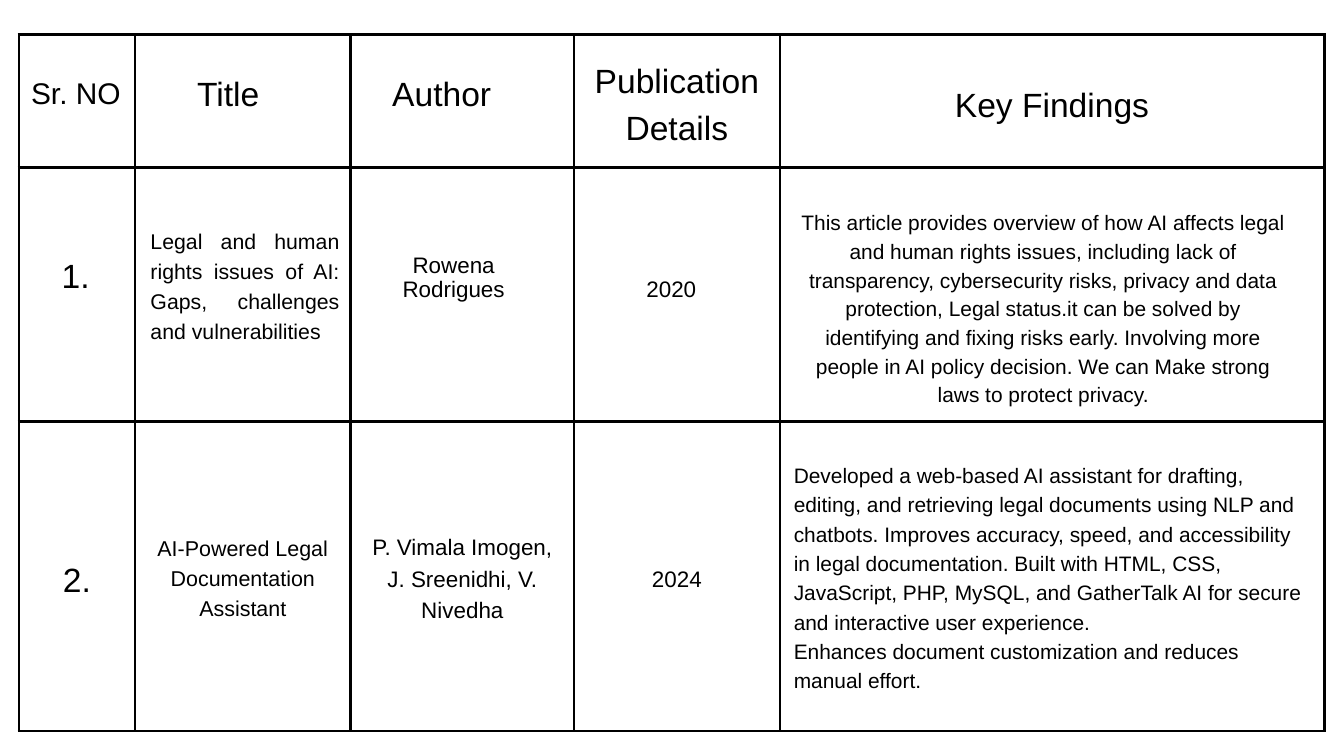
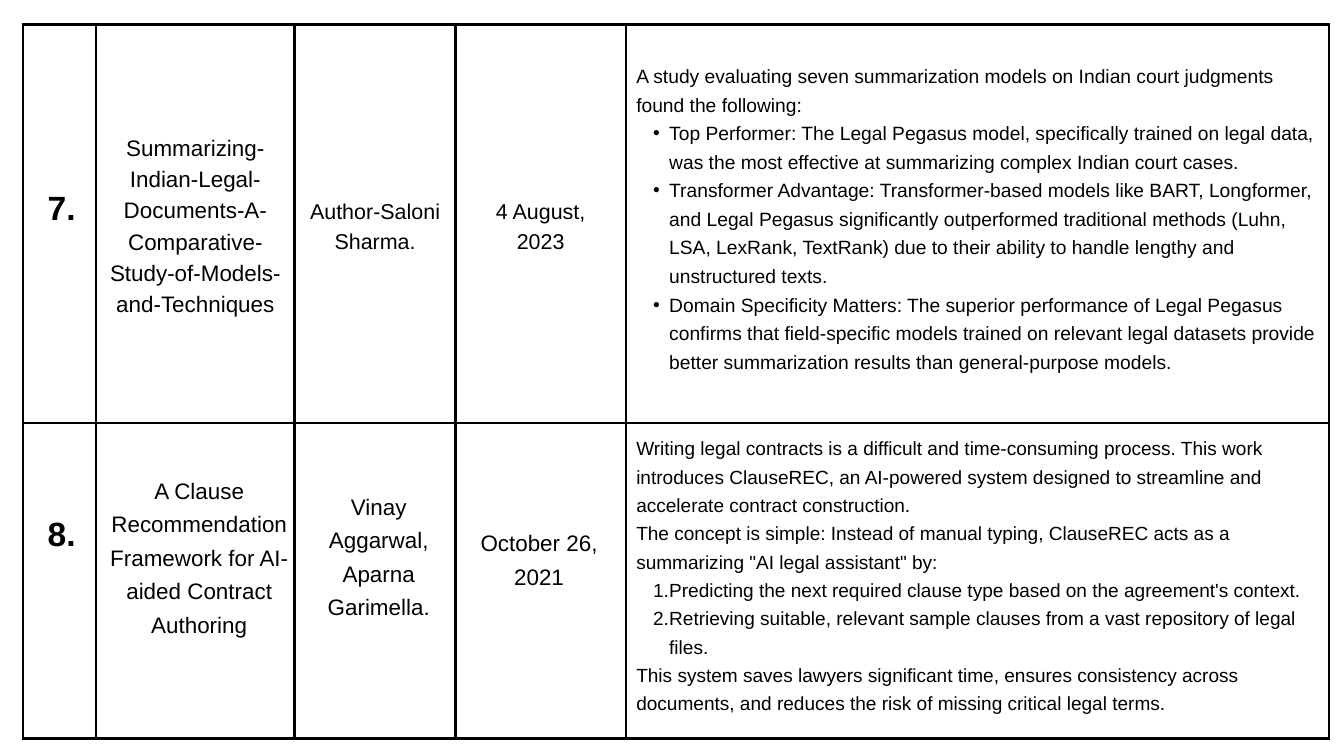
from itertools import product

from lxml import etree
from pptx import Presentation
from pptx.dml.color import RGBColor as Rgb
from pptx.enum.text import MSO_ANCHOR as Anchor, PP_ALIGN as Align
from pptx.oxml.ns import qn
from pptx.util import Emu, Pt

SCALE = 9525  # EMU in one px, 96 px to the inch
COLORS = {"ink": "000000", "page": "FFFFFF"}
FONT = "Arial"
PAD = 20
RULE = 3
LEFT, MID, FULL = Align.LEFT, Align.CENTER, Align.JUSTIFY


def px(num):
    return Emu(num * SCALE)


def tint(name):
    return Rgb.from_string(COLORS[name])


def mark(par, sign):
    """Give a paragraph a hanging bullet, or a number if sign is '1'."""
    props = par._p.get_or_add_pPr()
    props.set("marL", str(px(47)))
    props.set("indent", str(px(-23)))
    if sign == "1":
        etree.SubElement(props, qn("a:buAutoNum"), type="arabicPeriod")
    else:
        etree.SubElement(props, qn("a:buFont"), typeface=FONT)
        etree.SubElement(props, qn("a:buChar"), char=sign)


def write(frame, text, size, lead, align=MID, bold=False, signs=""):
    """Fill a frame, one paragraph a line; signs holds one mark per line."""
    frame.word_wrap = True
    frame.text = text
    for par, sign in zip(frame.paragraphs, signs.ljust(len(frame.paragraphs))):
        par.alignment = align
        par.line_spacing = Pt(lead)
        if sign != " ":
            par.level = 1
            mark(par, sign)
        for run in par.runs:
            font = run.font
            font.name, font.size, font.bold = FONT, Pt(size), bold
            font.color.rgb = tint("ink")


def label(slide, area, text, size, lead, **style):
    box = slide.shapes.add_textbox(*map(px, area))
    frame = box.text_frame
    frame.margin_left = frame.margin_right = 0
    frame.margin_top = frame.margin_bottom = 0
    write(frame, text, size, lead, **style)


def frame_cell(cell):
    """Leave a cell unfilled, with a black rule on each side."""
    cell.fill.background()
    props = cell._tc.get_or_add_tcPr()
    for spot, side in enumerate("LRTB"):
        line = etree.Element(qn(f"a:ln{side}"), w=str(Pt(RULE)))
        fill = etree.SubElement(line, qn("a:solidFill"))
        etree.SubElement(fill, qn("a:srgbClr"), val=COLORS["ink"])
        props.insert(spot, line)


def add_grid(slide, left, top, cols, rows):
    area = map(px, (left, top, sum(cols), sum(rows)))
    grid = slide.shapes.add_table(len(rows), len(cols), *area).table
    grid.first_row = grid.horz_banding = False
    for col, width in zip(grid.columns, cols):
        col.width = px(width)
    for row, height in zip(grid.rows, rows):
        row.height = px(height)
    for row, col in product(range(len(rows)), range(len(cols))):
        frame_cell(grid.cell(row, col))
    return grid


def fill_cell(grid, row, col, text, size, lead, **style):
    cell = grid.cell(row, col)
    cell.vertical_anchor = Anchor.MIDDLE
    cell.margin_left = cell.margin_right = px(PAD)
    cell.margin_top = cell.margin_bottom = px(PAD)
    write(cell.text_frame, text, size, lead, **style)


def add_page(deck):
    slide = deck.slides.add_slide(deck.slide_layouts[6])
    fill = slide.background.fill
    fill.solid()
    fill.fore_color.rgb = tint("page")
    return slide


def first_page(deck):
    slide = add_page(deck)
    grid = add_grid(slide, 27, 49, (166, 308, 319, 294, 778), (190, 363, 442))
    fill_cell(grid, 0, 3, "Publication Details", 36, 50.4)
    fill_cell(grid, 0, 4, "Key Findings", 36, 50.4)
    fill_cell(grid, 2, 0, "2.", 36, 50.4)
    fill_cell(grid, 2, 1, "AI-Powered Legal Documentation Assistant", 23, 32.2)
    fill_cell(grid, 2, 2, "P. Vimala Imogen, J. Sreenidhi, V. Nivedha", 24, 33.6)
    fill_cell(grid, 2, 3, "2024", 24, 33.6)
    fill_cell(
        grid, 2, 4,
        "Developed a web-based AI assistant for drafting, editing, and "
        "retrieving legal documents using NLP and chatbots. Improves accuracy, "
        "speed, and accessibility in legal documentation. Built with HTML, CSS, "
        "JavaScript, PHP, MySQL, and GatherTalk AI for secure and interactive "
        "user experience.\n"
        "Enhances document customization and reduces manual effort.",
        22.4, 31.4, align=LEFT)

    label(slide, (30, 116, 157, 41), "Sr. NO", 32, 31.3)
    label(slide, (246, 110, 160, 53), "Title", 36, 38.9)
    label(slide, (551, 110, 160, 53), "Author", 36, 38.9)
    label(slide, (78, 370, 60, 55), "1.", 36, 38.9)
    label(slide, (215, 320, 270, 168),
          "Legal and human rights issues of AI: Gaps, challenges and "
          "vulnerabilities", 22.8, 32, align=FULL)
    label(slide, (568, 362, 160, 70), "Rowena\nRodrigues", 24, 25.9)
    label(slide, (909, 397, 100, 36), "2020", 24, 25.9)
    label(slide, (1138, 295, 705, 319),
          "This article provides overview of how AI affects legal and human "
          "rights issues, including lack of transparency, cybersecurity risks, "
          "privacy and data protection, Legal status.it can be solved by "
          "identifying and fixing risks early. Involving more people in AI "
          "policy decision. We can Make strong laws to protect privacy.",
          22.4, 30.7)


def next_page(deck):
    slide = add_page(deck)
    grid = add_grid(slide, 33, 35, (104, 284, 230, 243, 1005), (569, 451))
    fill_cell(grid, 0, 1,
              "Summarizing-Indian-Legal-Documents-A-Comparative-Study-of-Models-"
              "and-Techniques", 24, 33.6)
    fill_cell(grid, 0, 2, "Author-Saloni Sharma.", 23, 32.2)
    fill_cell(grid, 0, 3, "4 August, 2023", 23, 32.2)

    for top, text in ((273, "7."), (738, "8.")):
        label(slide, (58, top, 60, 55), text, 36, 38.9, bold=True)
    label(slide, (909, 84, 973, 479),
          "A study evaluating seven summarization models on Indian court "
          "judgments found the following:\n"
          "Top Performer: The Legal Pegasus model, specifically trained on legal "
          "data, was the most effective at summarizing complex Indian court "
          "cases.\n"
          "Transformer Advantage: Transformer-based models like BART, "
          "Longformer, and Legal Pegasus significantly outperformed traditional "
          "methods (Luhn, LSA, LexRank, TextRank) due to their ability to handle "
          "lengthy and unstructured texts.\n"
          "Domain Specificity Matters: The superior performance of Legal Pegasus "
          "confirms that field-specific models trained on relevant legal "
          "datasets provide better summarization results than general-purpose "
          "models.",
          20.6, 30.6, align=LEFT, signs=" •••")
    label(slide, (155, 672, 259, 233),
          "A Clause Recommendation Framework for AI-aided Contract Authoring",
          24, 35.8)
    label(slide, (427, 695, 228, 186), "Vinay Aggarwal,\nAparna Garimella.", 24, 35.8)
    label(slide, (660, 747, 220, 93), "October 26,\n2021", 24, 35.8)
    label(slide, (909, 616, 968, 439),
          "Writing legal contracts is a difficult and time-consuming process. "
          "This work introduces ClauseREC, an AI-powered system designed to "
          "streamline and accelerate contract construction.\n"
          "The concept is simple: Instead of manual typing, ClauseREC acts as a "
          "summarizing \"AI legal assistant\" by:\n"
          "Predicting the next required clause type based on the agreement's "
          "context.\n"
          "Retrieving suitable, relevant sample clauses from a vast repository "
          "of legal files.\n"
          "This system saves lawyers significant time, ensures consistency "
          "across documents, and reduces the risk of missing critical legal "
          "terms.",
          20.4, 30.4, align=LEFT, signs="  11 ")


def main():
    deck = Presentation()
    deck.slide_width, deck.slide_height = px(1920), px(1080)
    first_page(deck)
    next_page(deck)
    deck.save("out.pptx")


if __name__ == "__main__":
    main()
